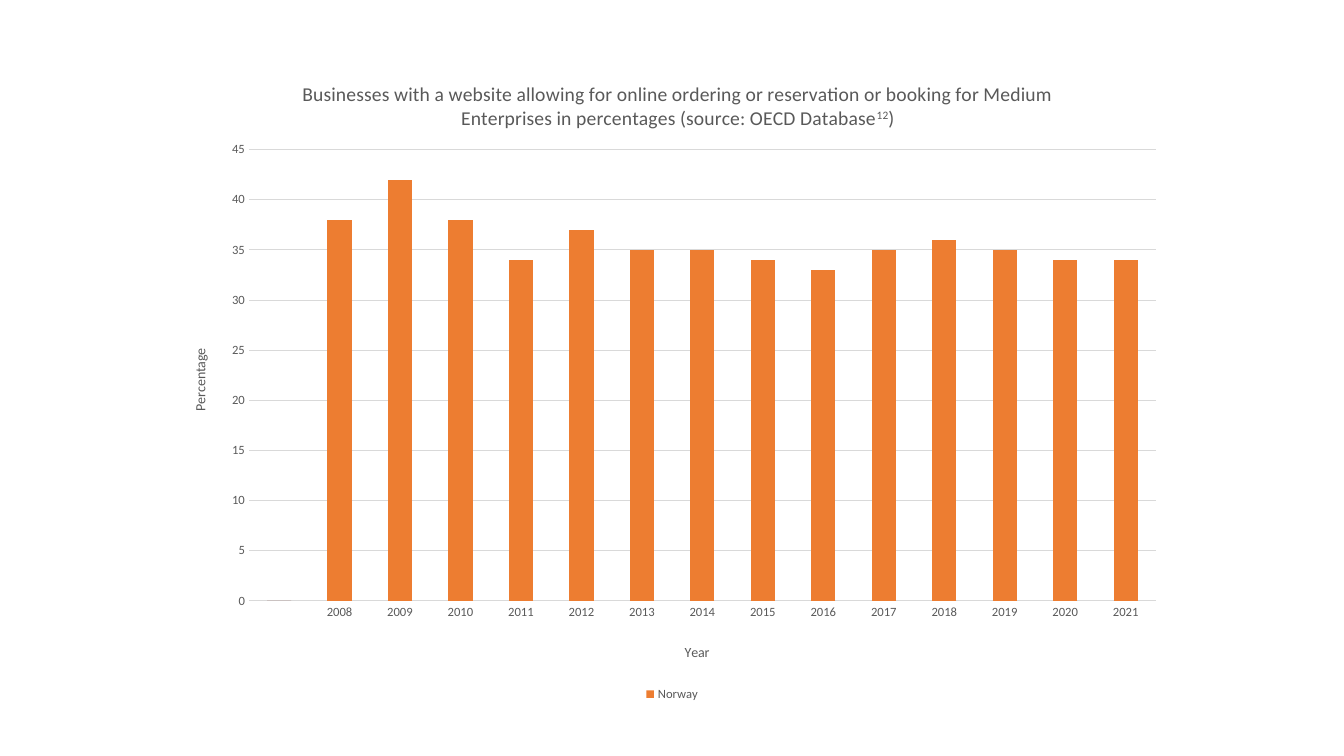
from lxml import etree
from pptx import Presentation
from pptx.chart.data import CategoryChartData
from pptx.dml.color import RGBColor
from pptx.enum.chart import XL_CHART_TYPE, XL_LEGEND_POSITION, XL_TICK_MARK
from pptx.oxml.ns import qn
from pptx.util import Cm, Pt

STACKED = XL_CHART_TYPE.COLUMN_STACKED
BOTTOM = XL_LEGEND_POSITION.BOTTOM
NO_TICK = XL_TICK_MARK.NONE

COLORS = {"text": "595959", "grid": "D9D9D9", "blue": "4472C4", "orange": "ED7D31"}
YEARS = [""] + [str(year) for year in range(2008, 2022)]
NORWAY = [0, 38, 42, 38, 34, 37, 35, 35, 34, 33, 35, 36, 35, 34, 34]


class ChartSlide:
    def __init__(self, slide, font="Calibri"):
        self.slide = slide
        self.font = font

    def color(self, name):
        return RGBColor.from_string(COLORS[name])

    def style_font(self, font, size):
        font.name = self.font
        font.size = Pt(size)
        font.bold = False
        font.color.rgb = self.color("text")

    def style_line(self, line):
        line.color.rgb = self.color("grid")
        line.width = Pt(0.75)

    def place(self, element, **position):
        for old in element.findall(qn("c:layout")):
            element.remove(old)
        layout = etree.Element(qn("c:layout"))
        manual = etree.SubElement(layout, qn("c:manualLayout"))
        if "w" in position:
            etree.SubElement(manual, qn("c:layoutTarget")).set("val", "inner")
        settings = {"xMode": "edge", "yMode": "edge", **position}
        for key, value in settings.items():
            etree.SubElement(manual, qn(f"c:{key}")).set("val", str(value))
        element.insert(0 if element.find(qn("c:tx")) is None else 1, layout)

    def title(self, title, text, size, x, y, superscript=None):
        paragraph = title.text_frame.paragraphs[0]
        for part, raised in text:
            run = paragraph.add_run()
            run.text = part
            self.style_font(run.font, size)
            if raised:
                run.font._element.set("baseline", "30000")
        self.place(title.element, x=x, y=y)

    def axis(self, axis, text, x, y):
        axis.major_tick_mark = NO_TICK
        axis.minor_tick_mark = NO_TICK
        self.style_font(axis.tick_labels.font, 9)
        self.title(axis.axis_title, [(text, False)], 10, x, y)

    def stacked_columns(self, box, categories, series):
        data = CategoryChartData()
        data.categories = categories
        for name, values, _ in series:
            data.add_series(name, values)
        chart = self.slide.shapes.add_chart(STACKED, *map(Cm, box), data).chart
        self.style_font(chart.font, 10)
        plot = chart.plots[0]
        plot.gap_width = 150
        plot.overlap = 100
        plot.vary_by_categories = False
        for column, (_, _, color) in zip(plot.series, series):
            column.format.fill.solid()
            column.format.fill.fore_color.rgb = self.color(color)
        return chart

    def legend(self, chart, hidden):
        chart.has_legend = True
        legend = chart.legend
        legend.position = BOTTOM
        legend.include_in_layout = False
        self.style_font(legend.font, 9)
        entry = etree.Element(qn("c:legendEntry"))
        etree.SubElement(entry, qn("c:idx")).set("val", str(hidden))
        etree.SubElement(entry, qn("c:delete")).set("val", "1")
        legend._element.insert(1, entry)


def main():
    deck = Presentation()
    deck.slide_width, deck.slide_height = Cm(33.87), Cm(19.05)
    page = ChartSlide(deck.slides.add_slide(deck.slide_layouts[6]))

    chart = page.stacked_columns((4.24, 1.3, 25.4, 16.48), YEARS, [
        ("Series 1", [0] * len(YEARS), "blue"),
        ("Norway", NORWAY, "orange"),
    ])
    page.place(chart.element.find(".//" + qn("c:plotArea")), x=0.08, y=0.15, w=0.9, h=0.69)
    page.title(chart.chart_title, [
        ("Businesses with a website allowing for online ordering or reservation or booking "
         "for Medium Enterprises in percentages (source: OECD Database", False),
        ("12", True),
        (")", False),
    ], 14, 0.13, 0.04)

    year_axis, percentage_axis = chart.category_axis, chart.value_axis
    page.axis(year_axis, "Year", 0.51, 0.9)
    page.style_line(year_axis.format.line)

    page.axis(percentage_axis, "Percentage", 0.02, 0.45)
    percentage_axis.axis_title.element.find(".//" + qn("a:bodyPr")).set("rot", "-5400000")
    percentage_axis.format.line.fill.background()
    percentage_axis.minimum_scale = 0
    percentage_axis.maximum_scale = 45
    percentage_axis.major_unit = 5
    page.style_line(percentage_axis.major_gridlines.format.line)

    page.legend(chart, hidden=0)
    deck.save("out.pptx")


if __name__ == "__main__":
    main()
